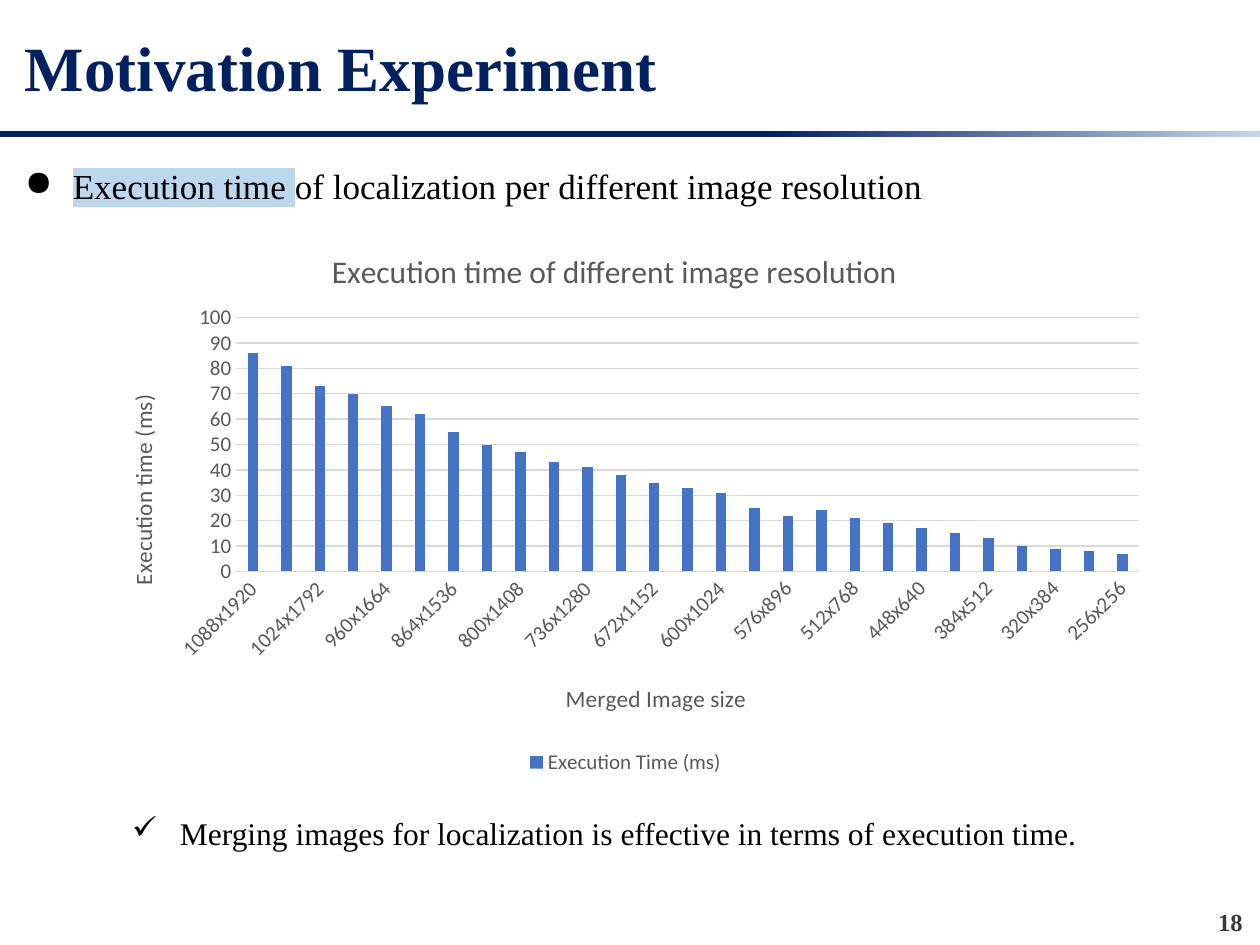
"""Build the Motivation Experiment slide with its execution time chart."""
from lxml.etree import SubElement
from pptx import Presentation
from pptx.chart.data import CategoryChartData
from pptx.dml.color import RGBColor
from pptx.enum.chart import XL_CHART_TYPE as ChartType, XL_LEGEND_POSITION as LegendPosition
from pptx.enum.chart import XL_TICK_MARK as TickMark
from pptx.enum.shapes import MSO_SHAPE as Shape
from pptx.enum.text import MSO_ANCHOR as Anchor, PP_ALIGN as Align
from pptx.oxml import parse_xml
from pptx.oxml.ns import nsdecls, qn
from pptx.util import Inches, Pt

NAVY = RGBColor(0x00, 0x20, 0x60)
PALE_BLUE = RGBColor(0xC7, 0xD5, 0xED)
HIGHLIGHT = RGBColor(0xBD, 0xD7, 0xEE)
BLACK = RGBColor(0x00, 0x00, 0x00)
DARK_GRAY = RGBColor(0x3B, 0x38, 0x38)
CHART_GRAY = RGBColor(0x59, 0x59, 0x59)
GRID_GRAY = RGBColor(0xD9, 0xD9, 0xD9)
BAR_BLUE = RGBColor(0x44, 0x72, 0xC4)

SIZES = (
    "1088x1920 1056x1856 1024x1792 992x1792 960x1664 928x1600 864x1536 832x1472 800x1408 "
    "768x1344 736x1280 704x1216 672x1152 640x1088 600x1024 608x960 576x896 544x832 512x768 "
    "480x704 448x640 416x576 384x512 352x448 320x384 228x320 256x256"
).split()
TIMES = [86, 81, 73, 70, 65, 62, 55, 50, 47, 43, 41, 38, 35, 33, 31, 25, 22, 24, 21, 19, 17,
         15, 13, 10, 9, 8, 7]


def add_text(box, texts, size, color, bold=None, bullet=None):
    text_box = slide.shapes.add_textbox(*[Inches(length) for length in box])
    text_box.text_frame.word_wrap = True
    paragraph = text_box.text_frame.paragraphs[0]
    if bullet:
        paragraph.line_spacing = 1.5
        properties = paragraph._p.get_or_add_pPr()
        properties.set("marL", str(Inches(0.38)))
        properties.set("indent", str(Inches(-0.38)))
        SubElement(properties, qn("a:buChar")).set("char", bullet)
    font = paragraph.font
    font.name, font.size, font.bold = "Times New Roman", Pt(size), bold
    font.color.rgb = color
    for text in texts:
        paragraph.add_run().text = text
    return text_box


def set_layout(element, **fractions):
    for old in element.findall(qn("c:layout")):
        element.remove(old)
    layout = parse_xml(f"<c:layout {nsdecls('c')}><c:manualLayout/></c:layout>")
    if "w" in fractions:
        SubElement(layout[0], qn("c:layoutTarget")).set("val", "inner")
    for name in "xy":
        SubElement(layout[0], qn(f"c:{name}Mode")).set("val", "edge")
    for name, value in fractions.items():
        SubElement(layout[0], qn(f"c:{name}")).set("val", str(value))
    text = element.find(qn("c:tx"))
    element.insert(0 if text is None else 1, layout)


presentation = Presentation()
presentation.slide_width, presentation.slide_height = Inches(10), Inches(7.5)
slide = presentation.slides.add_slide(presentation.slide_layouts[6])

rule = slide.shapes.add_shape(Shape.RECTANGLE, 0, Inches(1.04), Inches(10), Inches(0.05))
rule.shadow.inherit = False
rule.line.fill.background()
rule.fill.gradient()
rule.fill.gradient_angle = 0
for stop, position, color in zip(rule.fill.gradient_stops, (0.61, 1), (NAVY, PALE_BLUE)):
    stop.position = position
    stop.color.rgb = color

heading = add_text((0.1, 0.13, 9.5, 0.8), ["Motivation Experiment"], 36, NAVY, True)
heading.text_frame.vertical_anchor = Anchor.MIDDLE
number = add_text((9.54, 7.15, 0.42, 0.3), ["18"], 14, DARK_GRAY, True)
number.text_frame.paragraphs[0].alignment = Align.RIGHT

topic = add_text(
    (0.1, 1.09, 9.74, 0.55),
    ["Execution time ", "of localization per different image resolution"],
    20, BLACK, bullet="●",
)
marked_run = topic.text_frame.paragraphs[0].runs[0]
highlight = SubElement(marked_run._r.get_or_add_rPr(), qn("a:highlight"))
SubElement(highlight, qn("a:srgbClr")).set("val", str(HIGHLIGHT))

chart_data = CategoryChartData()
chart_data.categories = SIZES
chart_data.add_series("Execution Time (ms)", TIMES)
chart = slide.shapes.add_chart(
    ChartType.COLUMN_CLUSTERED, Inches(0.72), Inches(1.71), Inches(8.49), Inches(4.48), chart_data
).chart
chart.font.name, chart.font.size = "Calibri", Pt(12)
chart.font.color.rgb = CHART_GRAY
chart.has_legend = True
chart.legend.position = LegendPosition.BOTTOM
chart.legend.include_in_layout = False

plot = chart.plots[0]
plot.gap_width, plot.overlap, plot.vary_by_categories = 219, -27, False
plot.series[0].format.fill.solid()
plot.series[0].format.fill.fore_color.rgb = BAR_BLUE
set_layout(chart._chartSpace.chart.plotArea, x=0.136, y=0.181, w=0.844, h=0.45)

category_axis, value_axis = chart.category_axis, chart.value_axis
for axis in (category_axis, value_axis):
    axis.major_tick_mark = axis.minor_tick_mark = TickMark.NONE
    axis.tick_labels.font.size = Pt(12)
category_axis.tick_labels.font.color.rgb = CHART_GRAY
category_axis._element.txPr.find(qn("a:bodyPr")).set("rot", "-2700000")
category_axis.format.line.color.rgb = GRID_GRAY
category_axis.format.line.width = Pt(0.75)
value_axis.minimum_scale, value_axis.maximum_scale, value_axis.major_unit = 0, 100, 10
value_axis.format.line.fill.background()
value_axis.major_gridlines.format.line.color.rgb = GRID_GRAY
value_axis.major_gridlines.format.line.width = Pt(0.75)

for title, text, size, left, top in (
    (chart.chart_title, "Execution time of different image resolution", 18, 0.22, 0.05),
    (category_axis.axis_title, "Merged Image size", 13.3, 0.44, 0.82),
    (value_axis.axis_title, "Execution time (ms)", 13.3, 0.03, 0.31),
):
    title.text_frame.text = text
    font = title.text_frame.paragraphs[0].font
    font.name, font.size, font.bold = "Calibri", Pt(size), False
    font.color.rgb = CHART_GRAY
    set_layout(title._element, x=left, y=top)
value_axis.axis_title.text_frame._txBody.find(qn("a:bodyPr")).set("rot", "-5400000")

add_text(
    (0.95, 6.26, 7.77, 0.5),
    ["Merging images for localization is effective in terms of execution time."],
    18, BLACK, bullet="✓",
)

presentation.save("out.pptx")
